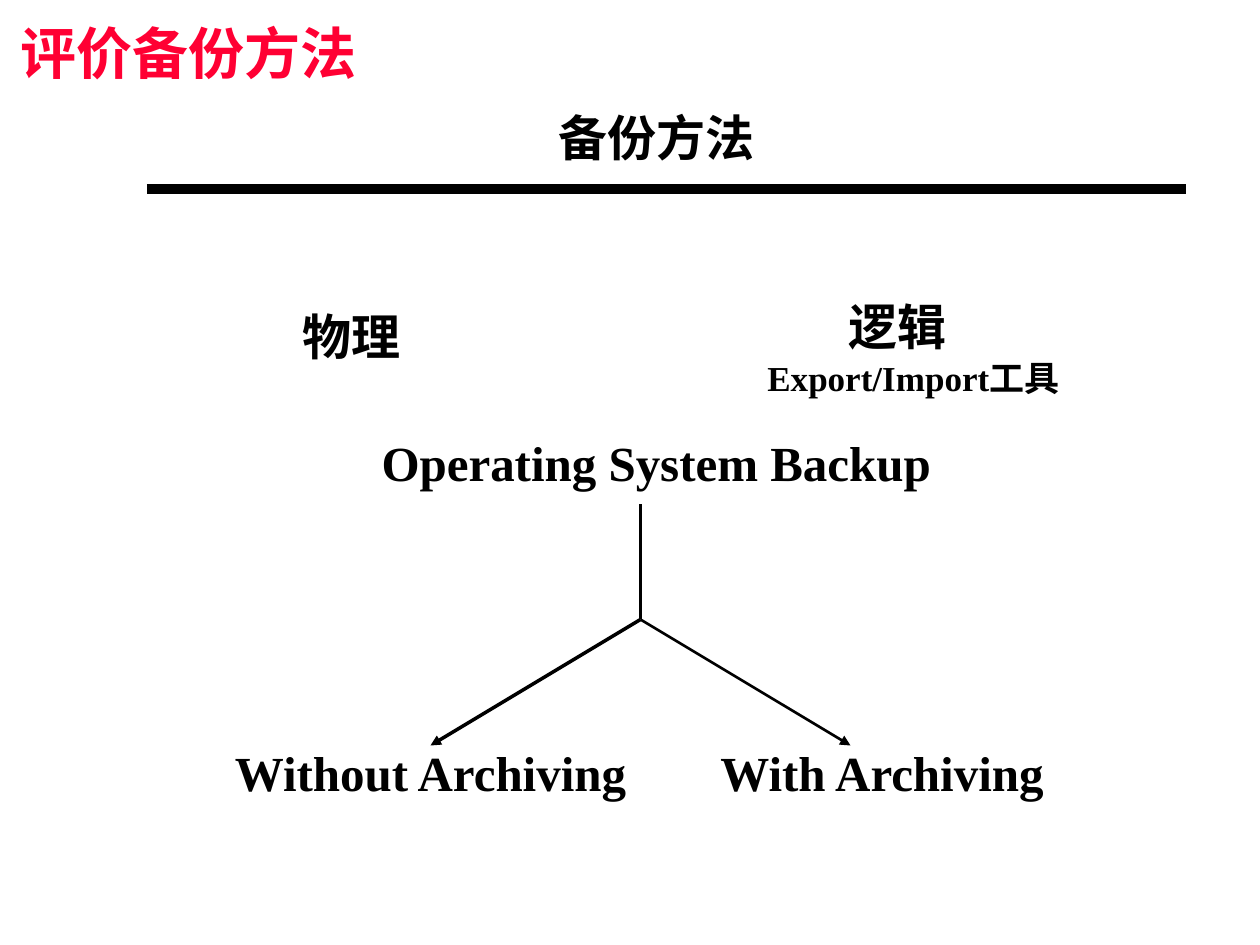
from lxml.etree import SubElement
from pptx import Presentation
from pptx.dml.color import RGBColor
from pptx.enum.shapes import MSO_CONNECTOR
from pptx.enum.text import MSO_ANCHOR, PP_ALIGN
from pptx.oxml.ns import qn
from pptx.util import Inches, Pt

# The slide is a grid of 120 columns by 90 rows
CELL = Inches(1) / 12
COLUMNS, ROWS = 120, 90
FONT = "Times New Roman"
BLACK, RED = "000000", "FF0033"


def cells(count):
    return round(count * CELL)


def color(hex_string):
    return RGBColor.from_string(hex_string)


def add_label(slide, text, left, top, width, height, size=28, fill=BLACK):
    """Add one centred bold line of text in a box given in cells."""
    box = slide.shapes.add_textbox(*map(cells, (left, top, width, height)))
    frame = box.text_frame
    frame.word_wrap = False
    frame.vertical_anchor = MSO_ANCHOR.MIDDLE
    paragraph = frame.paragraphs[0]
    paragraph.alignment = PP_ALIGN.CENTER
    run = paragraph.add_run()
    run.text = text
    run.font.name = FONT
    run.font.size = Pt(size)
    run.font.bold = True
    run.font.color.rgb = color(fill)


def add_line(slide, start, end, width=1.5, arrow=False):
    """Add a straight black line between two grid points."""
    connector = slide.shapes.add_connector(
        MSO_CONNECTOR.STRAIGHT, *map(cells, (*start, *end)))
    connector.line.color.rgb = color(BLACK)
    connector.line.width = Pt(width)
    properties = connector._element.spPr
    if arrow:
        SubElement(properties.find(qn("a:ln")), qn("a:tailEnd"), type="triangle")
    SubElement(properties, qn("a:effectLst"))


def main():
    presentation = Presentation()
    presentation.slide_width = cells(COLUMNS)
    presentation.slide_height = cells(ROWS)
    slide = presentation.slides.add_slide(presentation.slide_layouts[6])

    # Title and heading
    add_label(slide, "评价备份方法", 0, 0, 36, 10, size=32, fill=RED)
    add_label(slide, "备份方法", 51, 10, 23, 6)

    # Two families of methods
    add_label(slide, "物理", 22, 29, 23, 6)
    add_label(slide, "逻辑", 74, 28, 23, 6)
    add_label(slide, "Export/Import工具", 68, 33, 38, 6, size=20)

    # Backup tree labels
    add_label(slide, "Operating System Backup", 33, 41, 59, 6)
    add_label(slide, "Without Archiving", 21, 70, 40, 7)
    add_label(slide, "With Archiving", 64, 70, 40, 7)

    # Tree trunk and branches
    fork = (61, 59)
    add_line(slide, (61, 48), fork)
    add_line(slide, fork, (41, 71), width=2, arrow=True)
    add_line(slide, fork, (81, 71), arrow=True)

    # Rule under the heading
    add_line(slide, (14, 18), (113, 18), width=6)

    presentation.save("out.pptx")


if __name__ == "__main__":
    main()
